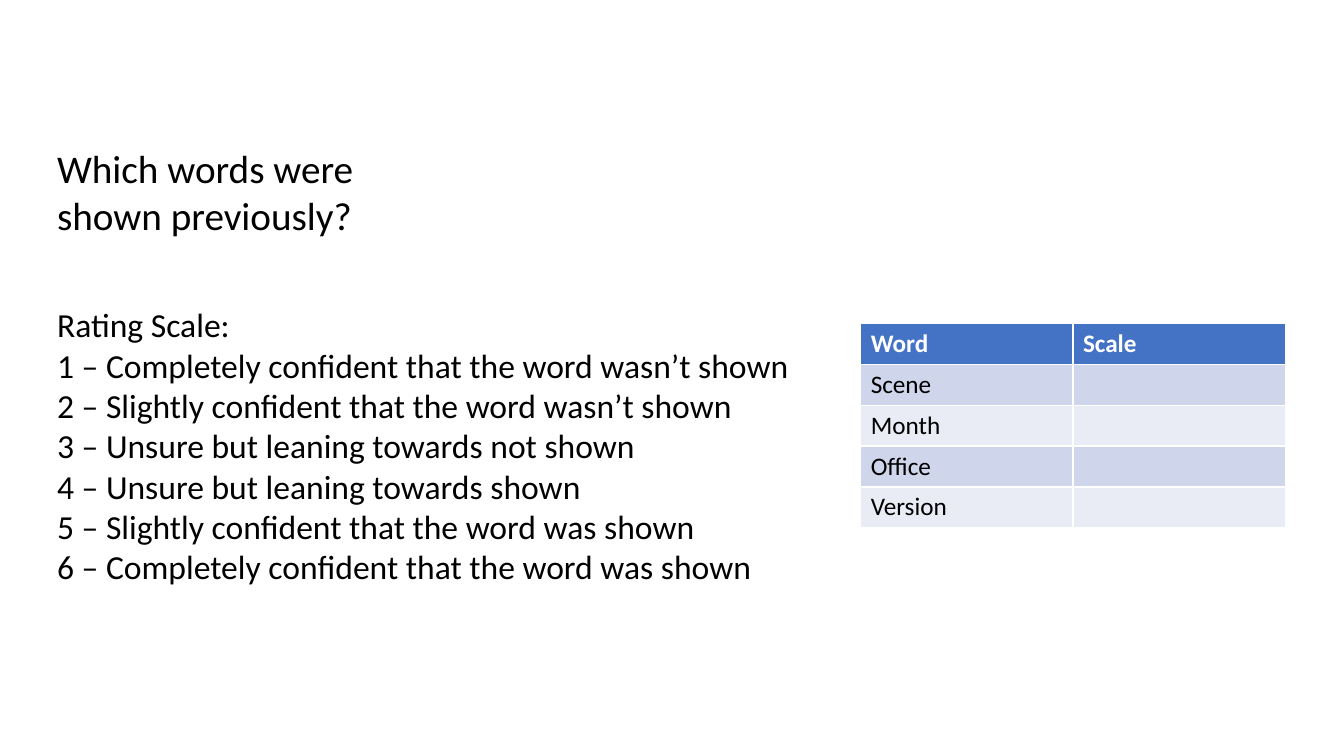
from dataclasses import dataclass

from pptx import Presentation
from pptx.dml.color import RGBColor
from pptx.enum.text import MSO_AUTO_SIZE
from pptx.slide import Slide
from pptx.util import Cm, Pt

FONT = "Calibri"
BLACK, WHITE = "000000", "FFFFFF"
HEADER_FILL = "4472C4"
BAND_FILLS = ("CFD5EA", "E9EBF5")


@dataclass
class TextBlock:
    left: float
    top: float
    width: float
    height: float
    size: int
    wrap: bool
    lines: list[str]


QUESTION = TextBlock(1.19, 3.51, 10.97, 2.65, 28, True, [
    "Which words were",
    "shown previously?",
])
RATING_SCALE = TextBlock(1.19, 7.54, 19.3, 7.45, 24, False, [
    "Rating Scale:",
    "1 – Completely confident that the word wasn’t shown",
    "2 – Slightly confident that the word wasn’t shown",
    "3 – Unsure but leaning towards not shown",
    "4 – Unsure but leaning towards shown",
    "5 – Slightly confident that the word was shown",
    "6 – Completely confident that the word was shown",
])
HEADERS = ["Word", "Scale"]
WORDS = ["Scene", "Month", "Office", "Version"]


def rgb(value: str) -> RGBColor:
    return RGBColor.from_string(value)


def style_font(p, size: int, color: str, bold: bool = False) -> None:
    p.font.name = FONT
    p.font.size = Pt(size)
    p.font.bold = bold
    p.font.color.rgb = rgb(color)


def add_text(s: Slide, block: TextBlock) -> None:
    box = s.shapes.add_textbox(Cm(block.left), Cm(block.top),
                               Cm(block.width), Cm(block.height))
    tf = box.text_frame
    tf.word_wrap = block.wrap
    tf.auto_size = MSO_AUTO_SIZE.SHAPE_TO_FIT_TEXT
    tf.text = "\n".join(block.lines)
    for p in tf.paragraphs:
        style_font(p, block.size, BLACK)


def add_word_table(s: Slide) -> None:
    rows = [HEADERS] + [[word, ""] for word in WORDS]
    row_height = Cm(1.03)
    table = s.shapes.add_table(len(rows), len(HEADERS), Cm(21.69), Cm(8.15),
                               Cm(10.7), row_height * len(rows)).table
    for i, row in enumerate(rows):
        is_header = i == 0
        fill = HEADER_FILL if is_header else BAND_FILLS[(i - 1) % 2]
        for j, text in enumerate(row):
            cell = table.cell(i, j)
            cell.text = text
            cell.fill.solid()
            cell.fill.fore_color.rgb = rgb(fill)
            style_font(cell.text_frame.paragraphs[0], 18,
                       WHITE if is_header else BLACK, is_header)


def main() -> None:
    prs = Presentation()
    prs.slide_width, prs.slide_height = Cm(33.87), Cm(19.05)
    s = prs.slides.add_slide(prs.slide_layouts[6])

    # Table for the answers
    add_word_table(s)

    # Question and rating scale
    for block in (QUESTION, RATING_SCALE):
        add_text(s, block)

    prs.save("out.pptx")


if __name__ == "__main__":
    main()
